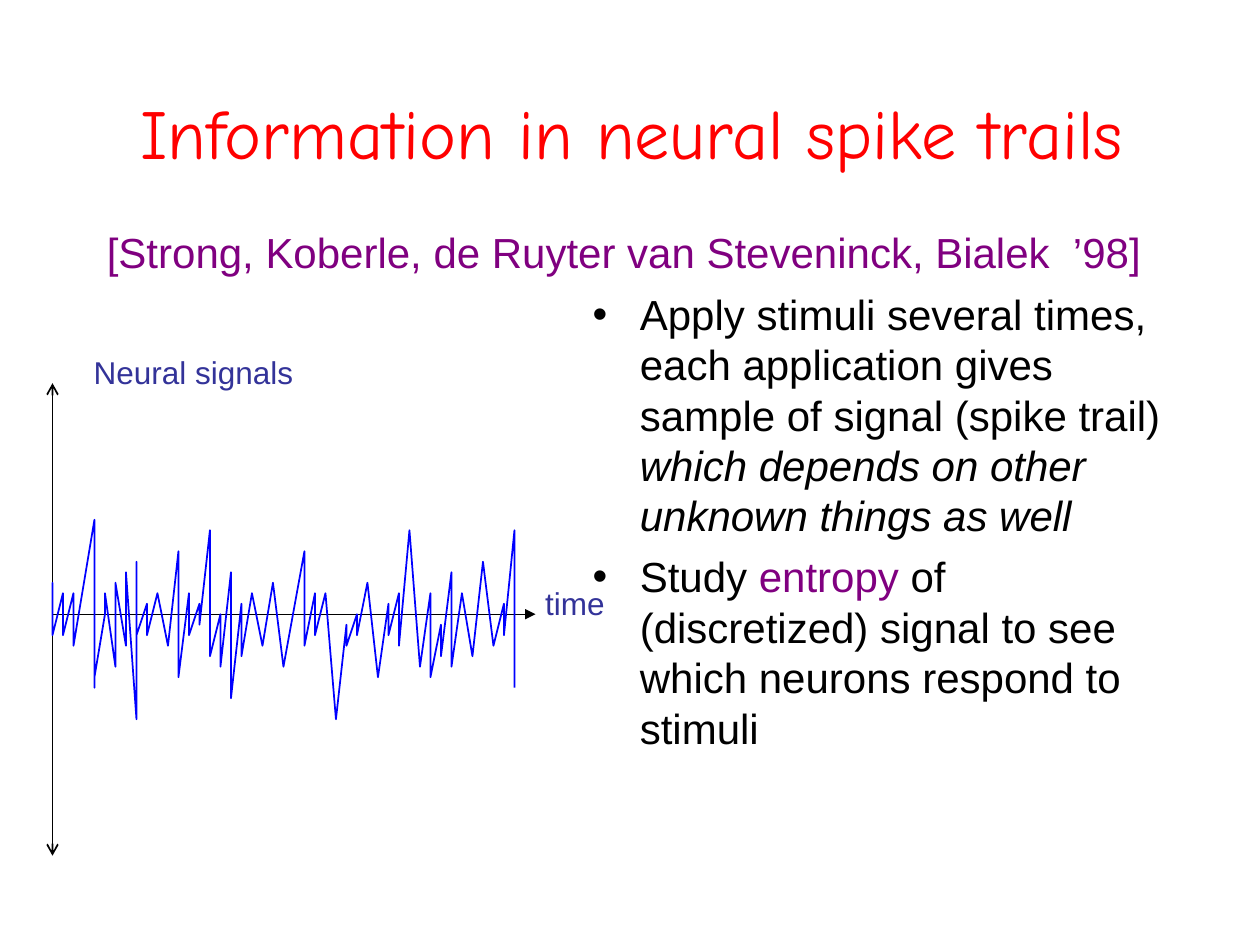
from lxml import etree
from pptx import Presentation
from pptx import util as u
from pptx.dml.color import RGBColor
from pptx.enum import shapes, text
from pptx.oxml.ns import qn

PX = 9525  # EMU per px, 96 px to the inch
RED = RGBColor(0xFF, 0, 0)
BLACK = RGBColor(0, 0, 0)
BLUE = RGBColor(0, 0, 0xFF)
NAVY = RGBColor(0x33, 0x33, 0x99)
PURPLE = RGBColor(0x80, 0, 0x80)

# Spike heights in grid steps, one tuple per time step
STEP, X0, Y0 = 8, 40, 468
SPIKES = [
    (0, 3, -2), (2, -2), (2, -1, 2, -3), (3,), (9, -7, -1, -3, -1, -6),
    (0, 2), (-5, 3), (-3, 4), (-10, 5, -2), (1, -2),
    (2,), (-3,), (6, -6), (2, -2), (1, -1),
    (8, -4, -1, -4), (0, -5), (4, -8), (1, -4), (2,),
    (-3,), (3,), (-5,), (), (6, -3),
    (2, -2), (2,), (-10,), (-1, -3), (0, -2),
    (3,), (-6,), (1, -2), (2, -3), (8,),
    (-5,), (2, -6), (-1, -4), (4, -5), (2,),
    (-4,), (5,), (-3,), (1, -2), (8, 0, -7),
]


def write(p, content, size=24, color=BLACK, font="Arial", italic=False):
    r = p.add_run()
    r.text = content
    r.font.size, r.font.name, r.font.italic = u.Pt(size), font, italic
    r.font.color.rgb = color


class Deck:
    def __init__(self, width, height):
        self.prs = Presentation()
        self.prs.slide_width, self.prs.slide_height = width * PX, height * PX
        self.s = self.prs.slides.add_slide(self.prs.slide_layouts[5])

    def title(self, content, x, y, w, h):
        sp = self.s.shapes.title
        sp.left, sp.top, sp.width, sp.height = (v * PX for v in (x, y, w, h))
        tf = sp.text_frame
        tf.vertical_anchor = text.MSO_ANCHOR.MIDDLE
        tf.paragraphs[0].alignment = text.PP_ALIGN.CENTER
        write(tf.paragraphs[0], content, size=40, color=RED, font="Comic Neue")

    def label(self, parent, content, x, y, w, h, **fmt):
        tf = parent.add_textbox(x * PX, y * PX, w * PX, h * PX).text_frame
        tf.word_wrap = False
        tf.auto_size = text.MSO_AUTO_SIZE.SHAPE_TO_FIT_TEXT
        write(tf.paragraphs[0], content, **fmt)

    def bullets(self, items, x, y, w, h, indent=36):
        tf = self.s.shapes.add_textbox(x * PX, y * PX, w * PX, h * PX).text_frame
        tf.word_wrap = True
        for i, runs in enumerate(items):
            p = tf.add_paragraph() if i else tf.paragraphs[0]
            p.space_before = u.Pt(6)
            pPr = p._p.get_or_add_pPr()
            pPr.set("marL", str(indent * PX))
            pPr.set("indent", str(-indent * PX))
            etree.SubElement(pPr, qn("a:buFont"), typeface="Arial")
            etree.SubElement(pPr, qn("a:buChar"), char="•")
            for content, fmt in runs:
                write(p, content, **fmt)

    def axis(self, parent, x1, y1, x2, y2, weight, **ends):
        sp = parent.add_connector(shapes.MSO_CONNECTOR.STRAIGHT,
                                  x1 * PX, y1 * PX, x2 * PX, y2 * PX)
        sp.line.color.rgb, sp.line.width = BLACK, u.Pt(weight)
        ln = sp.line._get_or_add_ln()
        for end in ("headEnd", "tailEnd"):
            if end in ends:
                etree.SubElement(ln, qn("a:" + end), type=ends[end])
        etree.SubElement(sp._element.spPr, qn("a:effectLst"))

    def trace(self, parent, points, color, weight):
        fb = parent.build_freeform(*points[0], scale=PX)
        fb.add_line_segments(points[1:], close=False)
        sp = fb.convert_to_shape()
        sp.shadow.inherit = False
        sp.fill.background()
        sp.line.color.rgb, sp.line.width = color, u.Pt(weight)


def main():
    d = Deck(960, 720)
    d.title("Information in neural spike trails", 32, 40, 898, 120)

    # Main points
    d.bullets([
        [("Apply stimuli several times, each application gives sample of "
          "signal (spike trail) ", {}),
         ("which depends on other unknown things as well", {"italic": True})],
        [("Study ", {}), ("entropy", {"color": PURPLE}),
         (" of (discretized) signal to see which neurons respond to stimuli", {})],
    ], 442, 215, 470, 401)

    # Neural signal diagram
    diagram = d.s.shapes.add_group_shape().shapes
    d.axis(diagram, X0, 292, X0, 652, 1, headEnd="arrow", tailEnd="arrow")
    d.axis(diagram, X0, Y0, 408, Y0, 0.75, tailEnd="triangle")
    d.label(diagram, "Neural signals", 62, 264, 174, 38, size=18, color=NAVY)
    d.label(diagram, "time", 406, 440, 70, 38, size=18, color=NAVY)
    points = [(X0 + STEP * i, Y0 - STEP * k)
              for i, heights in enumerate(SPIKES) for k in heights]
    d.trace(diagram, points, BLUE, 1)

    # Citation
    d.label(d.s.shapes, "[Strong, Koberle, de Ruyter van Steveninck, Bialek  ’98]",
            72, 168, 807, 48, color=PURPLE)
    d.prs.save("out.pptx")


if __name__ == "__main__":
    main()
